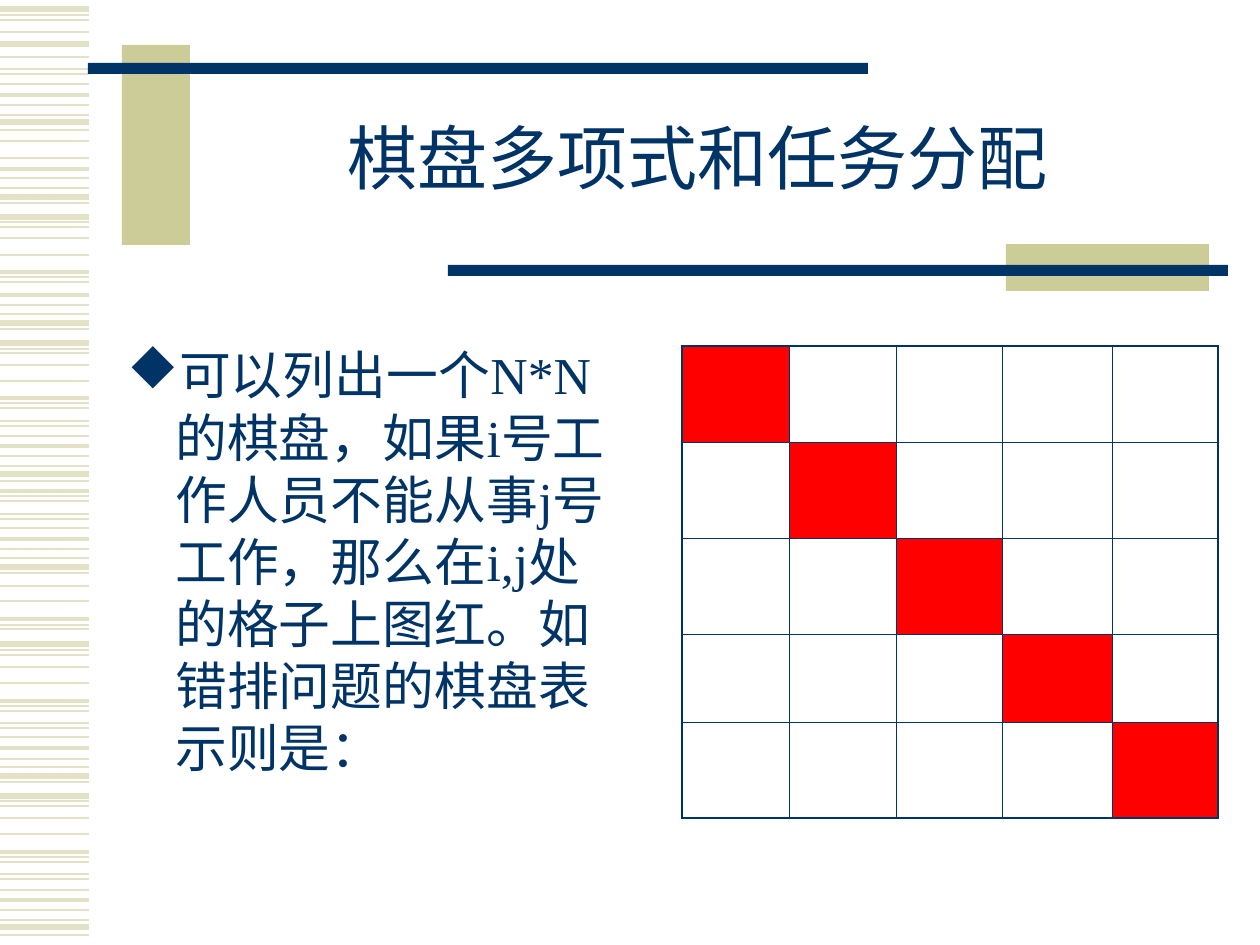
from lxml.etree import SubElement
from pptx import Presentation
from pptx.dml.color import RGBColor
from pptx.enum.shapes import MSO_CONNECTOR as Connector, MSO_SHAPE as Shape
from pptx.enum.text import MSO_ANCHOR as Anchor, PP_ALIGN as Align
from pptx.oxml.ns import qn
from pptx.util import Emu, Pt

PX = 914400 / 126
COLORS = {"navy": "003366", "olive": "CCCC99", "pale": "E3E2C7", "red": "FF0000"}

# Height of each margin stripe, grouped by line weight in points
STRIPES = {
    0.75: [15, 69, 115, 188, 222, 277, 314, 349, 403, 421, 466, 496, 514, 558,
           625, 650, 706, 723, 767, 801, 857, 874, 920],
    1: [20, 32, 84, 141, 158, 227, 238, 255, 353, 365, 381, 436, 528, 586, 601,
        655, 667, 683, 737, 806, 818, 834, 890],
    1.5: [57, 74, 105, 130, 178, 203, 282, 305, 329, 408, 426, 456, 481, 501, 519,
          549, 573, 629, 711, 728, 759, 782, 862, 879, 910, 935],
    2.25: [95, 169, 272, 295, 398, 446, 491, 539, 619, 701, 748, 852, 900],
    3: [9, 44, 122, 197, 217, 323, 343, 474, 567, 644, 776, 796, 927],
}
STRIPE_LENGTH = 89
BARS = [
    (122, 45, 68, 200, "olive"),
    (88, 63, 780, 11, "navy"),
    (1006, 244, 203, 47, "olive"),
    (448, 265, 780, 11, "navy"),
]
TITLE = "棋盘多项式和任务分配"
BODY = ("可以列出一个N*N的棋盘，如果i号工作人员不能从事j号工作，"
        "那么在i,j处的格子上图红。如错排问题的棋盘表示则是：")
COLUMNS = [107, 107, 107, 110, 105]
ROWS = [96, 96, 96, 88, 96]


def px(*lengths):
    return [Emu(round(length * PX)) for length in lengths]


def rgb(name):
    return RGBColor.from_string(COLORS[name])


def apply(target, settings):
    for attribute, value in settings.items():
        setattr(target, attribute, value)


class SlideBuilder:
    font = "Times New Roman"
    symbol_font = "Wingdings"
    inner_border, outer_border = 0.45, 1.08

    def __init__(self, slide):
        self.slide = slide
        self.shapes = slide.shapes

    def stripe(self, y, weight):
        line = self.shapes.add_connector(Connector.STRAIGHT, *px(0, y, STRIPE_LENGTH, y))
        line.line.color.rgb = rgb("pale")
        line.line.width = Pt(weight)
        SubElement(line._element.spPr, qn("a:effectLst"))

    def bar(self, x, y, width, height, color):
        bar = self.shapes.add_shape(Shape.RECTANGLE, *px(x, y, width, height))
        bar.shadow.inherit = False
        bar.fill.solid()
        bar.fill.fore_color.rgb = rgb(color)
        bar.line.fill.background()

    def text(self, content, box, size, anchor=Anchor.TOP, **layout):
        """Add a one-paragraph text box and return its paragraph."""
        frame = self.shapes.add_textbox(*px(*box)).text_frame
        apply(frame, {"word_wrap": True, "vertical_anchor": anchor})
        paragraph = frame.paragraphs[0]
        apply(paragraph, layout)
        run = paragraph.add_run()
        run.text = content
        apply(run.font, {"name": self.font, "size": Pt(size)})
        run.font.color.rgb = rgb("navy")
        return paragraph

    def diamond_bullet(self, paragraph, indent):
        """Give the paragraph a hanging diamond, which is the letter u in the symbol font."""
        properties = paragraph._p.get_or_add_pPr()
        margin, = px(indent)
        properties.set("marL", str(margin))
        properties.set("indent", str(-margin))
        color = SubElement(properties, qn("a:buClr"))
        SubElement(color, qn("a:srgbClr"), val=COLORS["navy"])
        SubElement(properties, qn("a:buFont"), typeface=self.symbol_font,
                   pitchFamily="2", charset="2")
        SubElement(properties, qn("a:buChar"), char="u")

    def border(self, cell, side, weight):
        line = SubElement(cell._tc.get_or_add_tcPr(), qn(f"a:ln{side}"), w=str(Pt(weight)))
        fill = SubElement(line, qn("a:solidFill"))
        SubElement(fill, qn("a:srgbClr"), val=COLORS["navy"])

    def chessboard(self, x, y, columns, rows):
        """Add a grid whose diagonal squares are red."""
        board = self.shapes.add_table(
            len(rows), len(columns), *px(x, y, sum(columns), sum(rows))).table
        apply(board, {"first_row": False, "horz_banding": False})
        for column, width in zip(board.columns, px(*columns)):
            column.width = width
        for row, height in zip(board.rows, px(*rows)):
            row.height = height
        for i in range(len(rows)):
            for j in range(len(columns)):
                square = board.cell(i, j)
                on_edge = {"L": j == 0, "R": j == len(columns) - 1,
                           "T": i == 0, "B": i == len(rows) - 1}
                for side, outer in on_edge.items():
                    self.border(square, side, self.outer_border if outer else self.inner_border)
                if i == j:
                    square.fill.solid()
                    square.fill.fore_color.rgb = rgb("red")
                else:
                    square.fill.background()


def main():
    deck = Presentation()
    deck.slide_width, deck.slide_height = px(1260, 945)
    builder = SlideBuilder(deck.slides.add_slide(deck.slide_layouts[6]))
    for weight, heights in STRIPES.items():
        for y in heights:
            builder.stripe(y, weight)
    for bar in BARS:
        builder.bar(*bar)
    builder.text(TITLE, (189, 84, 1017, 158), 40, Anchor.MIDDLE,
                 alignment=Align.CENTER, line_spacing=0.85)
    explanation = builder.text(BODY, (115, 337, 529, 483), 29.6, space_before=Pt(8))
    builder.diamond_bullet(explanation, 48)
    builder.chessboard(682, 346, COLUMNS, ROWS)
    deck.save("out.pptx")


if __name__ == "__main__":
    main()
